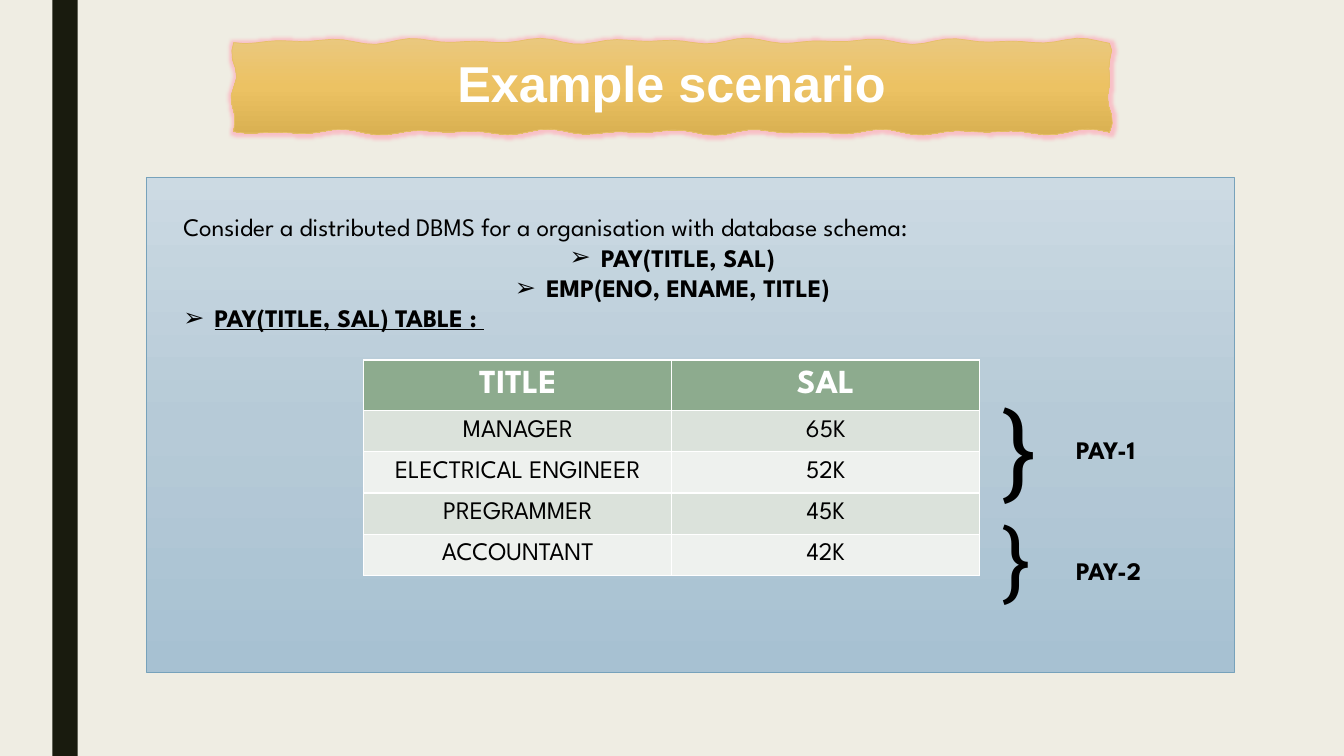
from copy import deepcopy
from math import sin

from lxml import etree
from pptx import Presentation
from pptx import util as u
from pptx.dml.color import RGBColor
from pptx.enum import shapes, text
from pptx.oxml.ns import qn

BODY = "League Spartan"
ALIGN = text.PP_ALIGN
MID = text.MSO_ANCHOR.MIDDLE


def rgb(code):
    """Turn a hex string into a colour."""
    return RGBColor.from_string(code)


def box(*sizes):
    """Turn centimetre values into lengths."""
    return [u.Cm(size) for size in sizes]


def style(para, align=ALIGN.LEFT, color="000000", **form):
    """Format a paragraph and its font."""
    para.alignment = align
    for key, value in {"name": BODY, "size": u.Pt(18), **form}.items():
        setattr(para.font, key, value)
    para.font.color.rgb = rgb(color)


def bullet(para):
    """Give a paragraph an arrow bullet with a hanging indent."""
    props = para._p.get_or_add_pPr()
    props.set("marL", str(u.Cm(0.79)))
    props.set("indent", str(-u.Cm(0.79)))
    etree.SubElement(props, qn("a:buFont")).set("typeface", "Arial")
    etree.SubElement(props, qn("a:buChar")).set("char", "➢")


def paint(shape, colors, edge=None):
    """Fill a shape with one colour or an even downward gradient."""
    shape.shadow.inherit = False
    if len(colors) == 1:
        shape.fill.solid()
        shape.fill.fore_color.rgb = rgb(colors[0])
    else:
        shape.fill.gradient()
        shape.fill.gradient_angle = 270
        stops = shape._element.spPr.find(".//" + qn("a:gsLst"))
        while len(stops) < len(colors):
            stops.append(deepcopy(stops[0]))
        for i, (stop, color) in enumerate(zip(shape.fill.gradient_stops, colors)):
            stop.position = i / (len(colors) - 1)
            stop.color.rgb = rgb(color)
    if edge:
        shape.line.color.rgb = rgb(edge)
        shape.line.width = u.Pt(0.5)
    else:
        shape.line.fill.background()


def rect(slide, place, colors, edge=None):
    """Draw a filled rectangle."""
    shape = slide.shapes.add_shape(shapes.MSO_SHAPE.RECTANGLE, *box(*place))
    paint(shape, colors, edge)


def glow(shape, color, size):
    """Put a soft glow around a shape."""
    effects = shape._element.spPr.find(qn("a:effectLst"))
    halo = etree.SubElement(effects, qn("a:glow"), rad=str(u.Pt(size)))
    tint = etree.SubElement(halo, qn("a:srgbClr"), val=color)
    etree.SubElement(tint, qn("a:alpha"), val="60000")


def banner(slide, left, top, width, height):
    """Draw a torn paper strip with wavy edges."""
    def wave(t):
        return 0.04 * (sin(2.3 * t) + sin(3.7 * t + 1))

    steps = [i / 80 for i in range(81)]
    sides = [i / 10 for i in range(1, 10)]
    points = [(left + width * s, top + wave(width * s)) for s in steps]
    points += [(left + width + wave(s * 4), top + height * s) for s in sides]
    points += [(left + width * s, top + height + wave(width * s + 5))
               for s in reversed(steps)]
    points += [(left + wave(s * 4 + 2), top + height * s) for s in reversed(sides)]
    points = [box(*point) for point in points]
    outline = slide.shapes.build_freeform(*points[0])
    outline.add_line_segments(points[1:])
    shape = outline.convert_to_shape()
    paint(shape, ["EAC87E", "ECC263", "D9B051"], "E6C069")
    glow(shape, "FFA3B5", 5)


def heading(slide, words, place):
    """Place the title above the banner."""
    title = slide.shapes.title
    title.left, title.top, title.width, title.height = box(*place)
    slide.shapes._spTree.append(title._element)
    title.text = words
    title.text_frame.vertical_anchor = MID
    para = title.text_frame.paragraphs[0]
    style(para, ALIGN.CENTER, "FFFFFF", name="Arial", size=u.Pt(36), bold=True)
    para.line_spacing = 0.89


def note(slide, place, lines):
    """Add a text box from (words, bulleted, format) lines."""
    frame = slide.shapes.add_textbox(*box(*place)).text_frame
    frame.word_wrap = True
    for i, (words, dotted, form) in enumerate(lines):
        para = frame.add_paragraph() if i else frame.paragraphs[0]
        para.text = words
        if dotted:
            bullet(para)
        style(para, **form)


def grid(slide, place, rows):
    """Add the pay table with a header and banded rows."""
    table = slide.shapes.add_table(len(rows), len(rows[0]), *box(*place)).table
    head = {"color": "FFFFFF", "size": u.Pt(24), "bold": True}
    for i, row in enumerate(rows):
        table.rows[i].height = u.Cm(1.04 if i else 1.27)
        fill = ("EEF1EE", "DBE2DB")[i % 2] if i else "8DAB8E"
        for j, words in enumerate(row):
            cell = table.cell(i, j)
            cell.text = words
            cell.vertical_anchor = MID
            cell.fill.solid()
            cell.fill.fore_color.rgb = rgb(fill)
            style(cell.text_frame.paragraphs[0], ALIGN.CENTER,
                  **({"bold": False} if i else head))


def main():
    """Build the slide."""
    deck = Presentation()
    deck.slide_width, deck.slide_height = box(33.87, 19.05)
    slide = deck.slides.add_slide(deck.slide_layouts[5])
    slide.background.fill.solid()
    slide.background.fill.fore_color.rgb = rgb("EFEDE3")
    rect(slide, (1.32, 0, 0.64, 19.05), ["191B0E"])
    strip = (5.89, 1.04, 22.07, 2.29)
    banner(slide, *strip)
    heading(slide, "Example scenario", strip)
    rect(slide, (3.68, 4.47, 27.43, 12.47), ["CCDAE3", "B6CAD7", "A7C1D2"], "77A2BB")
    center = {"align": ALIGN.CENTER, "bold": True}
    note(slide, (4.37, 5.21, 25.15, 4.11), [
        ("Consider a distributed DBMS for a organisation with database schema:",
         False, {"align": ALIGN.JUSTIFY}),
        ("PAY(TITLE, SAL)", True, center),
        ("EMP(ENO, ENAME, TITLE)", True, center),
        ("PAY(TITLE, SAL) TABLE : ", True,
         {"align": ALIGN.JUSTIFY, "bold": True, "underline": True}),
    ])
    grid(slide, (9.17, 9.07, 15.52, 5.43), [
        ("TITLE", "SAL"),
        ("MANAGER", "65K"),
        ("ELECTRICAL ENGINEER", "52K"),
        ("PREGRAMMER", "45K"),
        ("ACCOUNTANT", "42K"),
    ])
    note(slide, (25.02, 9.6, 1.52, 5.89), [
        ("}", False, {"name": "Roboto", "size": u.Pt(size)}) for size in (72, 60)
    ])
    for words, top in (("PAY-1", 10.82), ("PAY-2", 13.87)):
        note(slide, (26.87, top, 3.38, 1.02), [(words, False, {"bold": True})])
    deck.save("out.pptx")


if __name__ == "__main__":
    main()
